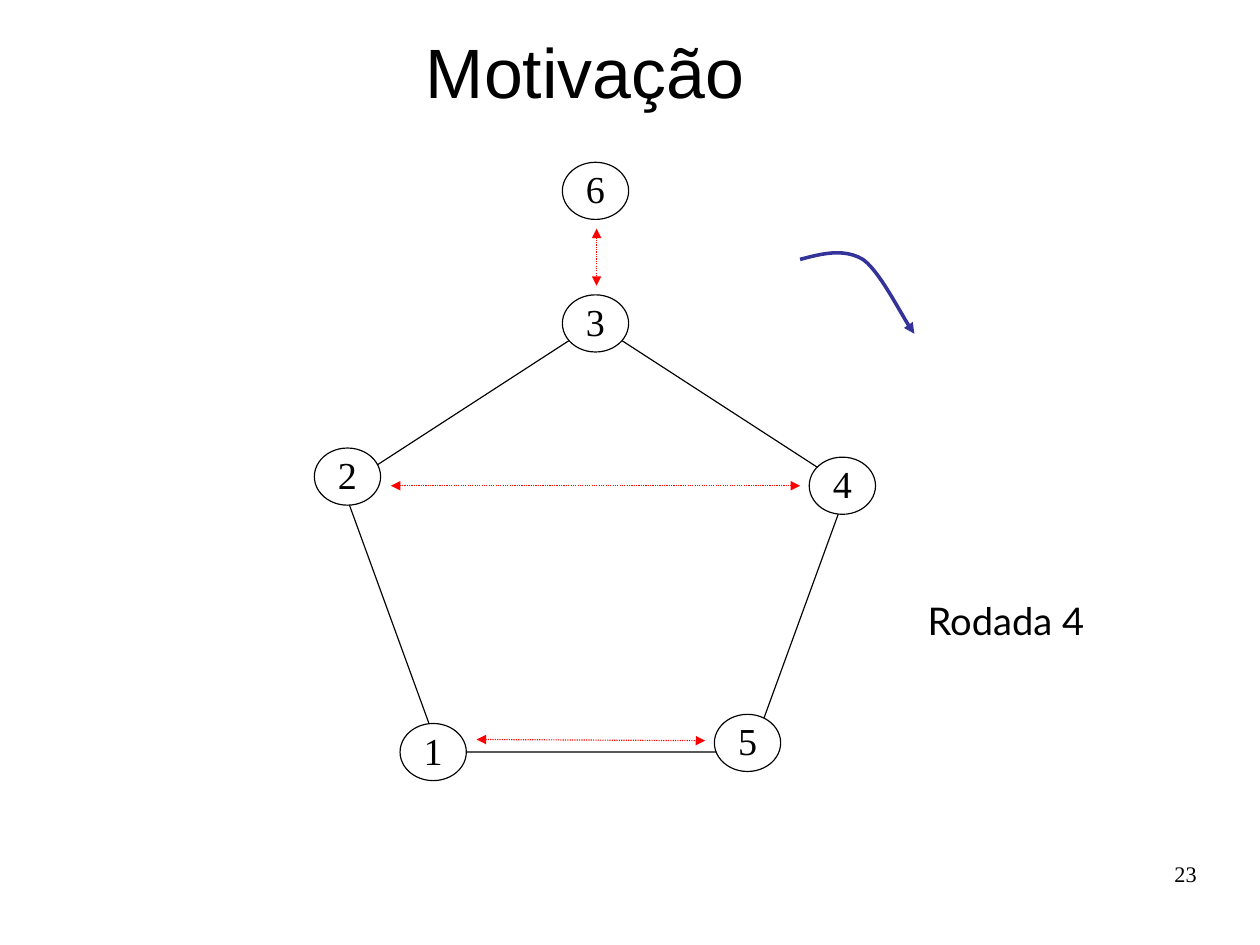
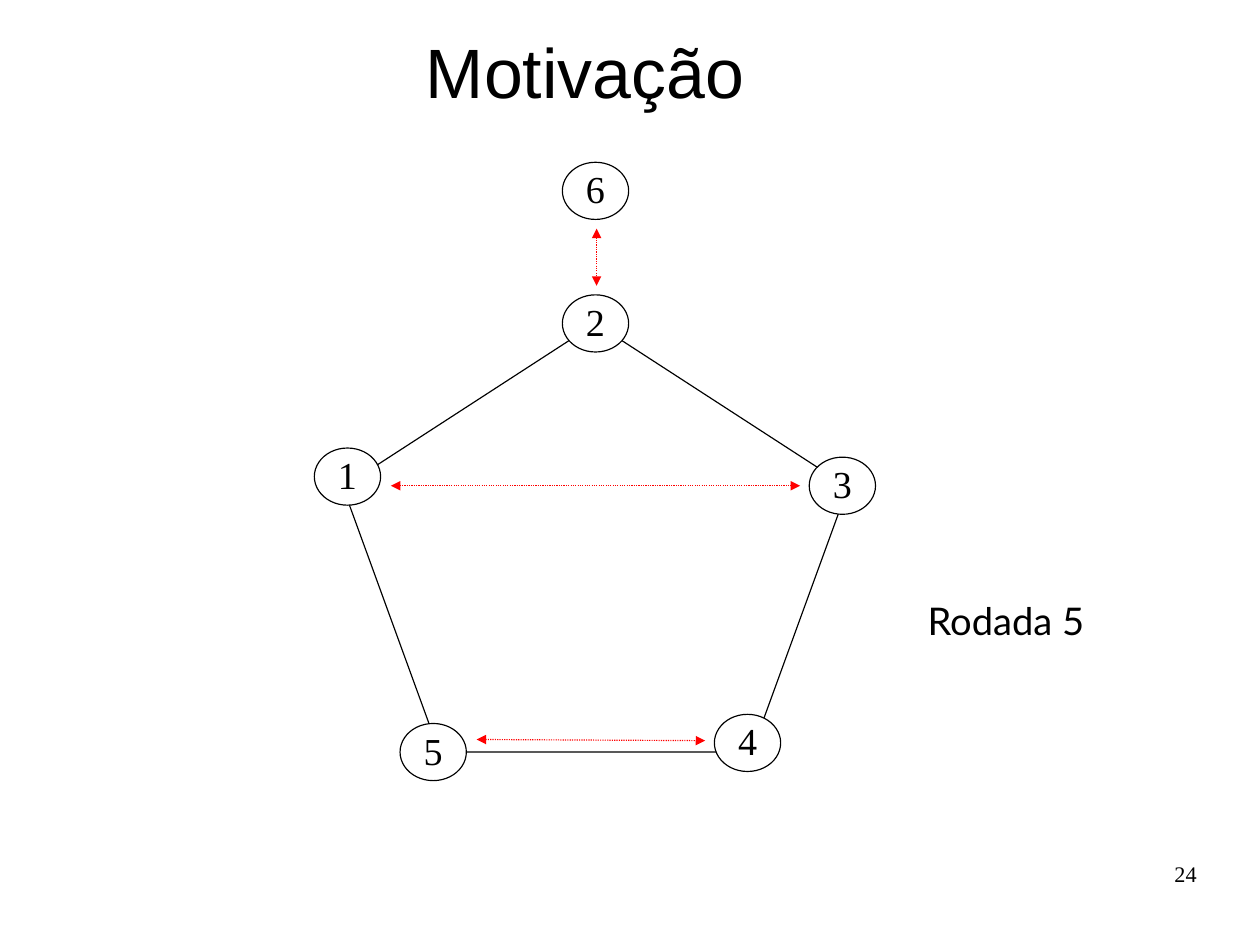
from lxml import etree
from pptx import Presentation
from pptx.dml.color import RGBColor
from pptx.enum.dml import MSO_LINE
from pptx.enum.shapes import MSO_CONNECTOR, MSO_SHAPE
from pptx.enum.text import MSO_ANCHOR, MSO_AUTO_SIZE, PP_ALIGN
from pptx.oxml.ns import qn
from pptx.util import Cm, Inches, Pt

BLACK, WHITE, RED, BLUE = "000000", "FFFFFF", "FF0000", "333399"
SERIF = "Times New Roman"
NODE_WIDTH, NODE_HEIGHT = 0.58, 0.5
FIXED_NODE = (4.92, 1.42)
# Clockwise from the bottom left corner of the pentagon
RING = [(3.5, 6.33), (2.75, 3.92), (4.92, 2.58), (7.08, 4), (6.25, 6.25)]
PAIRINGS = [((3.42, 4.25), (7, 4.25)),
            ((4.17, 6.47), (6.17, 6.48)),
            ((5.22, 2), (5.22, 2.5))]
ROTATION_CURVES = [[(7, 2.27), (7.19, 2.22), (7.38, 2.17), (7.55, 2.27)],
                   [(7.55, 2.27), (7.71, 2.38), (7.91, 2.81), (8, 2.92)]]
FIRST_ROUND, FIRST_PAGE = 4, 23


def color(hex_value):
    return RGBColor.from_string(hex_value)


def style_line(shape, hex_value, width, arrows=()):
    """Set line colour and width; arrows names the ends that get a triangle."""
    shape.line.color.rgb = color(hex_value)
    shape.line.width = Pt(width)
    line = shape._element.spPr.find(qn("a:ln"))
    for end in arrows:
        etree.SubElement(line, qn(f"a:{end}"), type="triangle")


def write(shape, text, font, size, spacing=1.0, align=PP_ALIGN.CENTER,
          anchor=MSO_ANCHOR.TOP, margins=(0.1, 0.05), wrap=True):
    frame = shape.text_frame
    frame.auto_size = MSO_AUTO_SIZE.NONE
    frame.word_wrap = wrap
    frame.vertical_anchor = anchor
    frame.margin_left = frame.margin_right = Inches(margins[0])
    frame.margin_top = frame.margin_bottom = Inches(margins[1])
    paragraph = frame.paragraphs[0]
    paragraph.alignment = align
    paragraph.line_spacing = spacing
    run = paragraph.add_run()
    run.text = text
    run.font.name = font
    run.font.size = Pt(size)
    run.font.color.rgb = color(BLACK)


def add_title(slide, text):
    title = slide.shapes.title
    title.left, title.top = Inches(1.58), Inches(0.26)
    title.width, title.height = Inches(7.08), Inches(0.79)
    write(title, text, "Arial", 44, 0.93, anchor=MSO_ANCHOR.MIDDLE)


def add_text(slide, box, text, font, size, **options):
    textbox = slide.shapes.add_textbox(*map(Inches, box))
    write(textbox, text, font, size, **options)


def add_outlined(slide, preset, left, top, width, height):
    shape = slide.shapes.add_shape(
        preset, Inches(left), Inches(top), Inches(width), Inches(height))
    shape.shadow.inherit = False
    shape.fill.background()
    style_line(shape, BLACK, 0.75)
    return shape


def add_node(slide, position, label):
    node = add_outlined(slide, MSO_SHAPE.OVAL, *position, NODE_WIDTH, NODE_HEIGHT)
    node.fill.solid()
    node.fill.fore_color.rgb = color(WHITE)
    write(node, str(label), SERIF, 24, 0.95, anchor=MSO_ANCHOR.MIDDLE, wrap=False)


def add_pairing(slide, start, end):
    """Join two opponents with a dotted double arrow."""
    arrow = slide.shapes.add_connector(
        MSO_CONNECTOR.STRAIGHT, *map(Inches, start + end))
    arrow.line.dash_style = MSO_LINE.ROUND_DOT
    style_line(arrow, RED, 0.75, ("headEnd", "tailEnd"))
    etree.SubElement(arrow._element.spPr, qn("a:effectLst"))


def bezier_point(curve, t):
    """Return the point at t on a cubic curve, in slide units."""
    weights = ((1 - t) ** 3, 3 * t * (1 - t) ** 2, 3 * t ** 2 * (1 - t), t ** 3)
    return tuple(
        Inches(sum(weight * point[axis] for weight, point in zip(weights, curve)))
        for axis in (0, 1))


def add_rotation_arrow(slide, steps=12):
    start = bezier_point(ROTATION_CURVES[0], 0)
    points = [bezier_point(curve, step / steps)
              for curve in ROTATION_CURVES for step in range(1, steps + 1)]
    builder = slide.shapes.build_freeform(*start)
    builder.add_line_segments(points, close=False)
    arrow = builder.convert_to_shape()
    arrow.shadow.inherit = False
    arrow.fill.background()
    style_line(arrow, BLUE, 2.25, ("tailEnd",))


def add_round(presentation, turn):
    """Add one round, with the ring labels moved on by turn places."""
    slide = presentation.slides.add_slide(presentation.slide_layouts[5])
    add_title(slide, "Motivação")
    add_outlined(slide, MSO_SHAPE.REGULAR_PENTAGON, 3, 2.83, 4.42, 3.75)
    for index, position in enumerate(RING):
        add_node(slide, position, (index - turn) % len(RING) + 1)
    add_node(slide, FIXED_NODE, len(RING) + 1)
    for start, end in PAIRINGS:
        add_pairing(slide, start, end)
    add_text(slide, (7.94, 5.17, 1.72, 0.56), f"Rodada {FIRST_ROUND + turn}",
             "Lato", 24, spacing=1.01)
    add_text(slide, (7.9, 7.53, 2.57, 0.57), str(FIRST_PAGE + turn), SERIF, 14,
             align=PP_ALIGN.RIGHT, margins=(0, 0))
    return slide


def main():
    presentation = Presentation()
    presentation.slide_width = Cm(28)
    presentation.slide_height = Cm(21)
    first_slide = add_round(presentation, 0)
    add_rotation_arrow(first_slide)
    add_round(presentation, 1)
    presentation.save("out.pptx")


if __name__ == "__main__":
    main()
